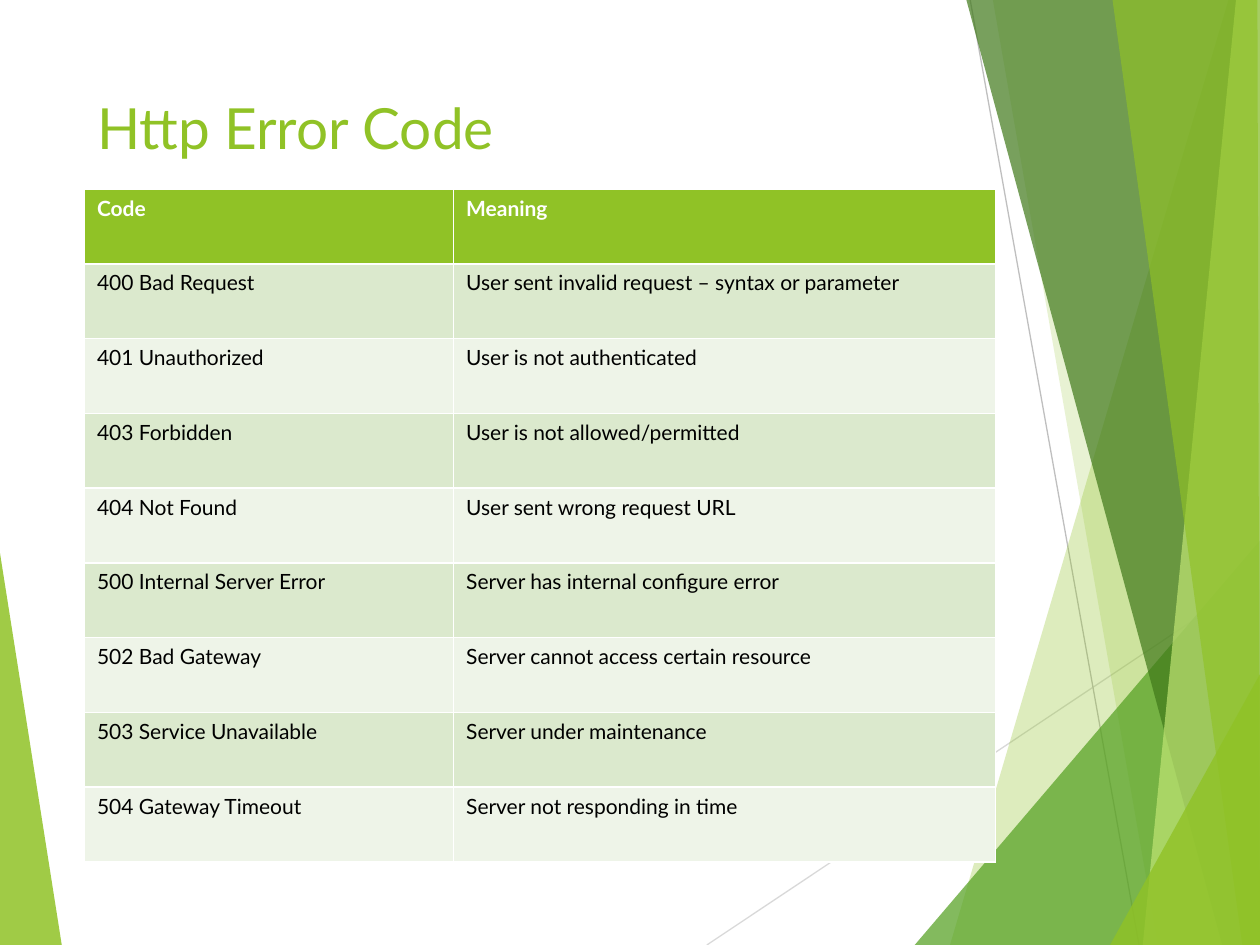
import lxml.etree
import pptx
import pptx.dml.color
import pptx.enum.text
import pptx.oxml.ns
import pptx.util
from pptx.util import Inches

COLORS = {
    "lime": "90C226",
    "green": "54A021",
    "forest": "3F7819",
    "pale": "C0E474",
    "band_dark": "DBE9CD",
    "band_light": "EEF4E8",
    "line_light": "D9D9D9",
    "line_dark": "BFBFBF",
    "white": "FFFFFF",
    "black": "000000",
}

FACETS = [
    ([(0, 4.39), (0.49, 7.5), (0, 7.5)], "lime", 85),
    ([(9.75, 0), (7.54, 7.5), (10, 7.5), (10, 0)], "lime", 30),
    ([(7.88, 0), (9.19, 7.5), (10, 7.5), (10, 0)], "lime", 20),
    ([(7.26, 7.5), (10, 4.29), (10, 7.5)], "green", 72),
    ([(7.67, 0), (9.7, 7.5), (10, 7.5), (10, 0)], "forest", 70),
    ([(9.81, 0), (9.07, 7.5), (10, 7.5), (10, 0)], "pale", 70),
    ([(8.83, 0), (9.86, 7.5), (10, 7.5), (9.98, 0)], "lime", 65),
    ([(8.81, 7.5), (10, 5.35), (10, 7.5)], "lime", 80),
]

ERROR_CODES = [
    ("Code", "Meaning"),
    ("400 Bad Request", "User sent invalid request – syntax or parameter"),
    ("401 Unauthorized", "User is not authenticated"),
    ("403 Forbidden", "User is not allowed/permitted"),
    ("404 Not Found", "User sent wrong request URL"),
    ("500 Internal Server Error", "Server has internal configure error"),
    ("502 Bad Gateway", "Server cannot access certain resource"),
    ("503 Service Unavailable", "Server under maintenance"),
    ("504 Gateway Timeout", "Server not responding in time"),
]


def color(name):
    return pptx.dml.color.RGBColor.from_string(COLORS[name])


def write_text(text_frame, text, size=12, color_name="black", bold=False, font="Lato"):
    paragraph = text_frame.paragraphs[0]
    paragraph.alignment = pptx.enum.text.PP_ALIGN.LEFT
    run = paragraph.add_run()
    run.text = text
    run.font.name = font
    run.font.size = pptx.util.Pt(size)
    run.font.bold = bold
    run.font.color.rgb = color(color_name)


class SlideBuilder:
    line_width = pptx.util.Pt(0.75)
    title_size = 32.4

    def __init__(self, slide):
        self.slide = slide

    def facet(self, points, color_name, opacity):
        corners = [(Inches(x), Inches(y)) for x, y in points]
        builder = self.slide.shapes.build_freeform(*corners[0])
        builder.add_line_segments(corners[1:], close=True)
        shape = builder.convert_to_shape()
        shape.shadow.inherit = False
        shape.fill.solid()
        shape.fill.fore_color.rgb = color(color_name)
        shape.line.fill.background()
        fill_color = shape.fill._xPr.find(".//" + pptx.oxml.ns.qn("a:srgbClr"))
        alpha = lxml.etree.SubElement(fill_color, pptx.oxml.ns.qn("a:alpha"))
        alpha.set("val", str(opacity * 1000))

    def line(self, start, end, color_name):
        connector = self.slide.shapes.add_connector(
            pptx.enum.shapes.MSO_CONNECTOR.STRAIGHT,
            *(Inches(value) for value in start + end),
        )
        connector.line.color.rgb = color(color_name)
        connector.line.width = self.line_width
        properties = connector._element.spPr
        lxml.etree.SubElement(properties, pptx.oxml.ns.qn("a:effectLst"))

    def title(self, text, left, top, width, height):
        shape = self.slide.shapes.title
        shape.left, shape.top = Inches(left), Inches(top)
        shape.width, shape.height = Inches(width), Inches(height)
        shape.text_frame.vertical_anchor = pptx.enum.text.MSO_ANCHOR.MIDDLE
        write_text(shape.text_frame, text, size=self.title_size, color_name="lime")

    def table(self, rows, left, top, column_widths, height):
        frame = self.slide.shapes.add_table(
            len(rows), len(column_widths), Inches(left), Inches(top),
            Inches(sum(column_widths)), Inches(height),
        )
        table = frame.table
        for column, width in zip(table.columns, column_widths):
            column.width = Inches(width)
        for row_index, row in enumerate(rows):
            header = row_index == 0
            band = "band_dark" if row_index % 2 else "band_light"
            for column_index, text in enumerate(row):
                cell = table.cell(row_index, column_index)
                cell.fill.solid()
                cell.fill.fore_color.rgb = color("lime" if header else band)
                write_text(cell.text_frame, text, bold=header,
                           color_name="white" if header else "black")


def main():
    presentation = pptx.Presentation()
    presentation.slide_width = Inches(10)
    presentation.slide_height = Inches(7.5)
    slide = presentation.slides.add_slide(presentation.slide_layouts[5])
    builder = SlideBuilder(slide)

    builder.facet(*FACETS[0])
    builder.line((5.61, 7.5), (10, 4.57), "line_light")
    builder.line((7.7, 0), (9.04, 7.5), "line_dark")
    for facet in FACETS[1:]:
        builder.facet(*facet)

    builder.title("Http Error Code", 0.67, 0.67, 6.94, 0.67)
    builder.table(ERROR_CODES, 0.67, 1.5, (2.93, 4.3), 5.34)
    presentation.save("out.pptx")


if __name__ == "__main__":
    main()
